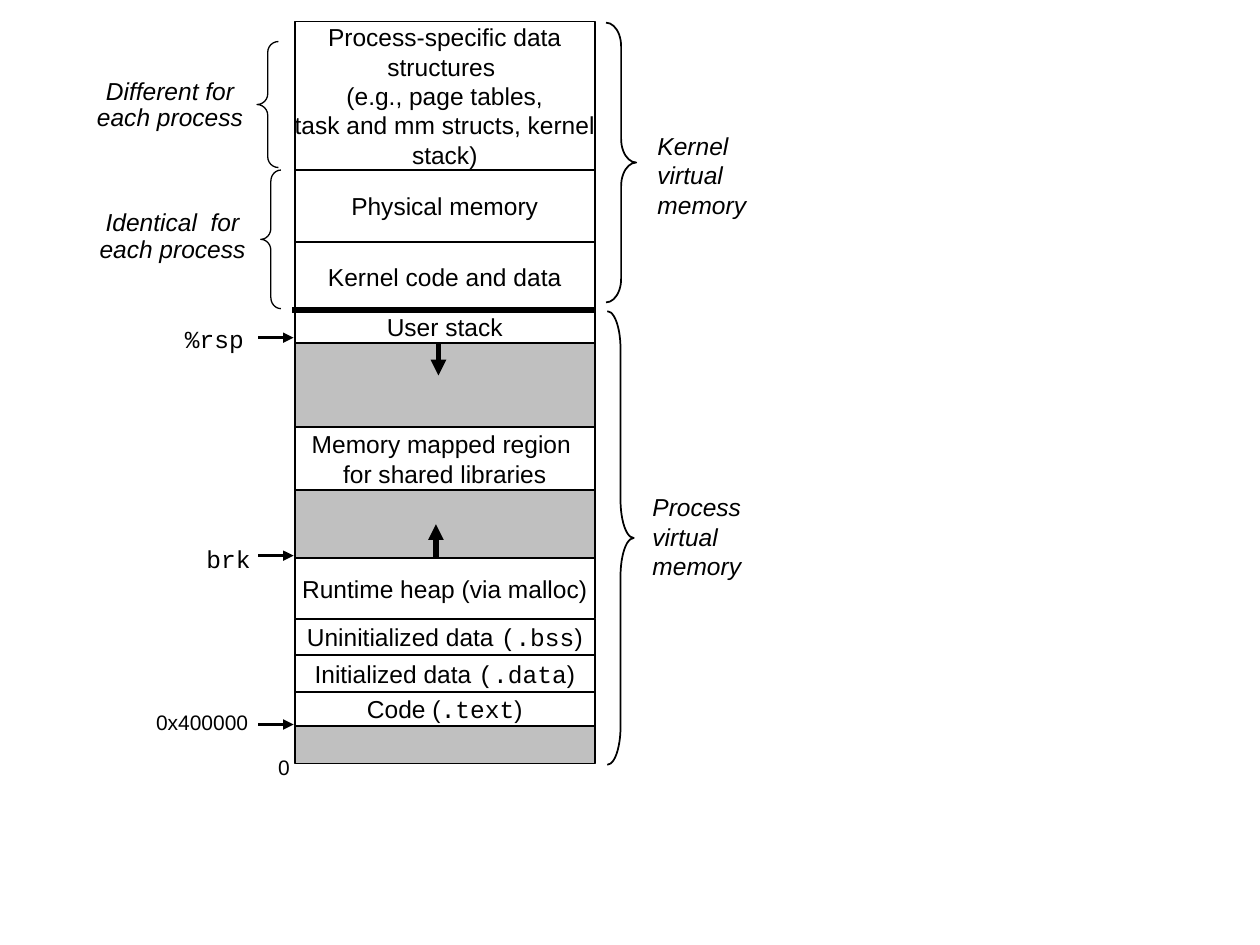
from dataclasses import dataclass
from itertools import pairwise

from lxml import etree
from pptx import Presentation
from pptx.dml import color
from pptx.enum import shapes, text
from pptx.oxml import ns
from pptx.util import Inches, Pt


@dataclass(frozen=True)
class Theme:
    ink: color.RGBColor = color.RGBColor(0, 0, 0)
    paper: color.RGBColor = color.RGBColor(255, 255, 255)
    gap: color.RGBColor = color.RGBColor(0xC0, 0xC0, 0xC0)
    sans: str = "Arial"
    mono: str = "Courier New"
    body: int = 14
    small: int = 12


THEME = Theme()
LEFT, MID = text.PP_ALIGN.LEFT, text.PP_ALIGN.CENTER

EDGES = [0.17, 1.35, 1.92, 2.47, 2.72, 3.39, 3.89, 4.43, 4.91, 5.2, 5.49, 5.76, 6.06]
BANDS = [
    [["Process-specific data"], ["structures "], ["(e.g., page tables,"],
     ["task and mm structs, kernel"], ["stack)"]],
    [["Physical memory"]],
    [["Kernel code and data"]],
    [["User stack"]],
    [],
    [["Memory mapped region "], ["for shared libraries"]],
    [],
    [["Runtime heap (via malloc)"]],
    [["Uninitialized data ", "(.bss", ")"]],
    [["Initialized data ", "(.data", ")"]],
    [["Code (", ".text", ")"]],
    [],
]


def place(box):
    return [Inches(v) for v in box]


def style(font, face=THEME.sans, size=THEME.body, slant=False):
    font.name = face
    font.size = Pt(size)
    font.italic = slant
    font.color.rgb = THEME.ink


def draw_band(slide, box, lines):
    band = slide.shapes.add_shape(shapes.MSO_SHAPE.RECTANGLE, *place(box))
    band.shadow.inherit = False
    band.fill.solid()
    band.fill.fore_color.rgb = THEME.paper if lines else THEME.gap
    band.line.color.rgb = THEME.ink
    band.line.width = Pt(1)
    frame = band.text_frame
    frame.word_wrap = False
    frame.vertical_anchor = text.MSO_ANCHOR.MIDDLE
    for i, parts in enumerate(lines):
        para = frame.add_paragraph() if i else frame.paragraphs[0]
        para.alignment = MID
        for j, part in enumerate(parts):
            run = para.add_run()
            run.text = part
            style(run.font, THEME.mono if j == 1 else THEME.sans)


def draw_line(slide, start, end, width, arrow=True):
    line = slide.shapes.add_connector(
        shapes.MSO_CONNECTOR.STRAIGHT, *place(start), *place(end))
    line.line.color.rgb = THEME.ink
    line.line.width = Pt(width)
    if arrow:
        tail = etree.SubElement(line.line._get_or_add_ln(), ns.qn("a:tailEnd"))
        tail.set("type", "triangle")
    etree.SubElement(line._element.spPr, ns.qn("a:effectLst"))


def draw_label(slide, box, words, align=LEFT, wrap=False, space=1.0, **look):
    label = slide.shapes.add_textbox(*place(box))
    frame = label.text_frame
    frame.text = words
    frame.word_wrap = wrap
    frame.auto_size = text.MSO_AUTO_SIZE.SHAPE_TO_FIT_TEXT
    for para in frame.paragraphs:
        para.alignment = align
        para.line_spacing = space
        for run in para.runs:
            style(run.font, **look)


def draw_brace(slide, box, curve, width, flip=False):
    kind = shapes.MSO_SHAPE.LEFT_BRACE if flip else shapes.MSO_SHAPE.RIGHT_BRACE
    brace = slide.shapes.add_shape(kind, *place(box))
    brace.shadow.inherit = False
    brace.fill.background()
    brace.line.color.rgb = THEME.ink
    brace.line.width = Pt(width)
    brace.adjustments[0] = curve
    brace.adjustments[1] = 0.5


def draw_stack(slide, left, width):
    for (top, end), lines in zip(pairwise(EDGES), BANDS):
        draw_band(slide, (left, top, width, end - top), lines)
    draw_line(slide, (left - 0.02, 2.46), (left + width, 2.46), 3, arrow=False)
    draw_line(slide, (left + 1.14, 2.72), (left + 1.14, 2.98), 3)
    draw_line(slide, (left + 1.12, 4.42), (left + 1.12, 4.16), 3)


def draw_marks(slide, left, right):
    marks = [
        ("%rsp", (1.37, 2.52, 0.67, 0.34), 2.68, THEME.mono, THEME.body),
        ("brk", (1.54, 4.27, 0.55, 0.33), 4.41, THEME.mono, THEME.body),
        ("0x400000", (1.14, 5.58, 0.94, 0.28), 5.75, THEME.sans, THEME.small),
    ]
    for words, box, y, face, size in marks:
        draw_label(slide, box, words, face=face, size=size)
        draw_line(slide, (left, y), (right, y), 2)
    draw_label(slide, (2.11, 5.94, 0.29, 0.3), "0", size=THEME.small)


def draw_scopes(slide):
    scopes = [
        ("Different for each process", (0.62, 0.58, 1.46, 0.52),
         (2.04, 0.33, 0.17, 1), 0.5),
        ("Identical  for each process", (0.64, 1.62, 1.46, 0.52),
         (2.07, 1.35, 0.16, 1.1), 0.55),
    ]
    for words, box, brace, curve in scopes:
        draw_label(slide, box, words, MID, wrap=True, space=0.9, slant=True)
        draw_brace(slide, brace, curve, 0.75, flip=True)


def draw_spaces(slide):
    spaces = [
        ("Kernel", (5.12, 0.99, 1, 0.8), (4.81, 0.18, 0.24, 2.22), 0.78),
        ("Process", (5.08, 3.86, 1, 0.8), (4.82, 2.47, 0.21, 3.6), 1.44),
    ]
    for name, box, brace, curve in spaces:
        draw_label(slide, box, f"{name}\nvirtual\nmemory", wrap=True, slant=True)
        draw_brace(slide, brace, curve, 1)


def main():
    deck = Presentation()
    deck.slide_width, deck.slide_height = Inches(10), Inches(7.5)
    slide = deck.slides.add_slide(deck.slide_layouts[6])
    draw_stack(slide, 2.34, 2.38)
    draw_marks(slide, 2.05, 2.33)
    draw_scopes(slide)
    draw_spaces(slide)
    deck.save("out.pptx")


if __name__ == "__main__":
    main()
